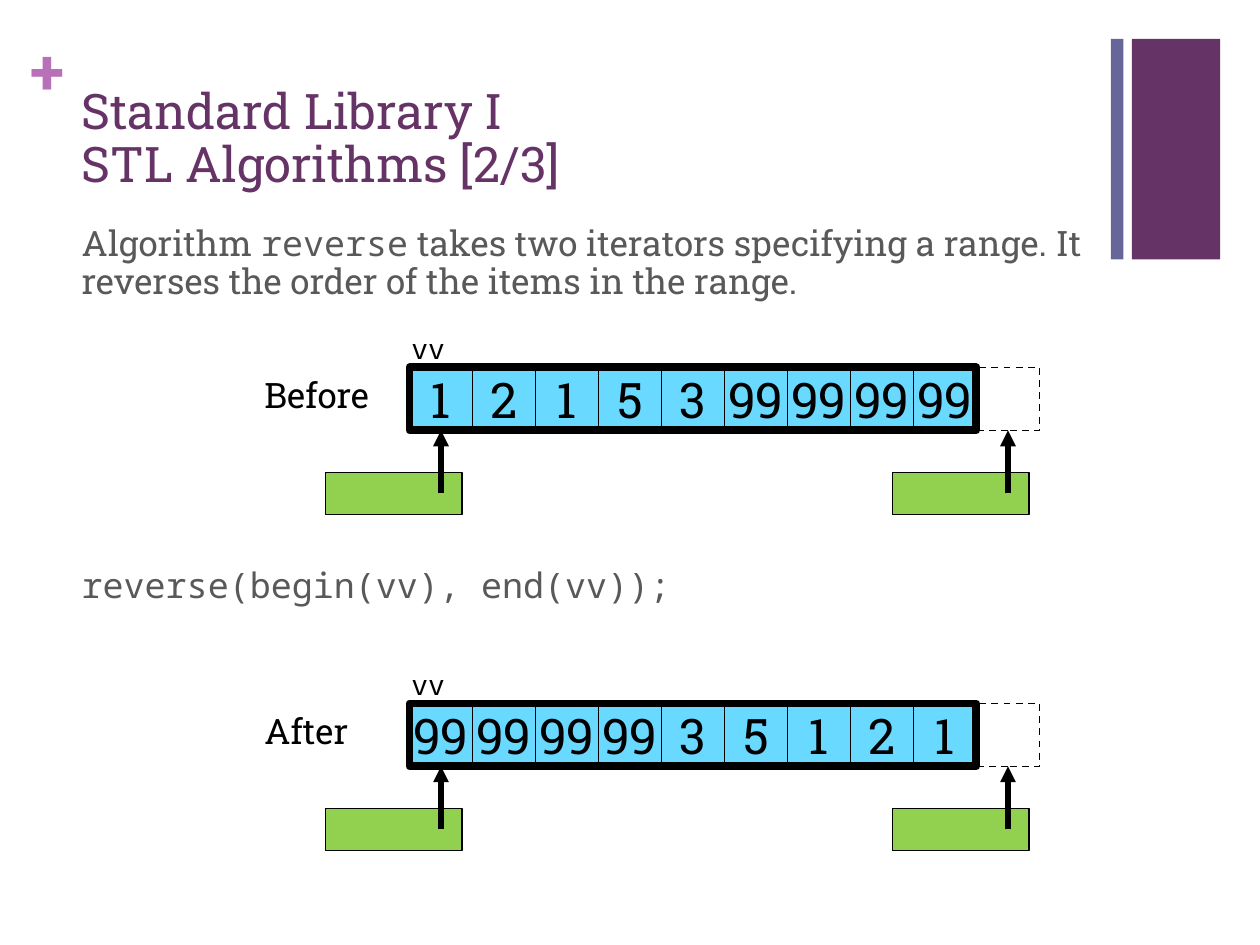
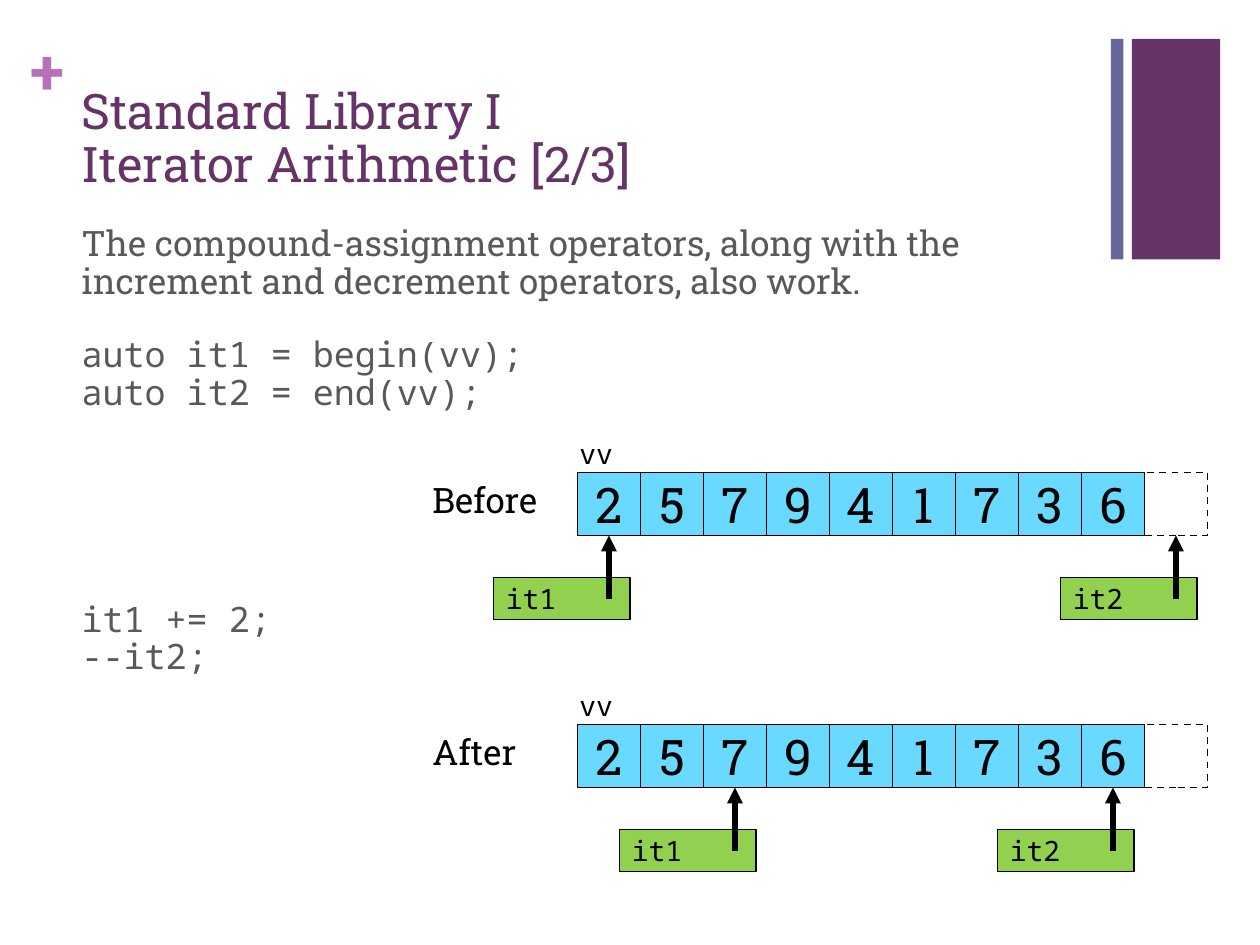
import dataclasses

import pptx
import pptx.dml.color
import pptx.enum.dml
import pptx.enum.shapes
import pptx.enum.text
import pptx.oxml
import pptx.oxml.ns
import pptx.util

ALIGN = pptx.enum.text.PP_ALIGN
ANCHOR = pptx.enum.text.MSO_ANCHOR
DASH = pptx.enum.dml.MSO_LINE.DASH


@dataclasses.dataclass(frozen=True)
class Theme:
    """Colours, fonts, type sizes and spacing of the deck."""

    plum: str = "663366"
    slate: str = "666699"
    orchid: str = "B870B8"
    body: str = "595959"
    ink: str = "000000"
    item: str = "6AD9FF"
    iterator: str = "92D050"
    serif: str = "Roboto Slab"
    mono: str = "Noto Sans Mono"
    plus_size: int = 36
    title_size: int = 28
    body_size: int = 20
    small_size: int = 16
    leading: float = 0.9
    paragraph_gap: int = 20
    skipped_line: int = 44
    hairline: float = 1
    arrow_line: float = 3
    frame_line: float = 4.5


def assign(target, values):
    """Set every attribute named in values on target."""
    for name, value in values.items():
        setattr(target, name, value)


def rgb(colour):
    """Turn a hex string into a colour."""
    return pptx.dml.color.RGBColor.from_string(colour)


class Deck:
    """Draws slide elements on a grid of 120 columns by 90 rows."""

    COLUMNS, ROWS = 120, 90
    CELL = 6

    def __init__(self, theme):
        """Start a presentation of 10 by 7.5 inches."""
        self.theme = theme
        self.presentation = pptx.Presentation()
        assign(self.presentation, {
            "slide_width": pptx.util.Inches(10),
            "slide_height": pptx.util.Inches(7.5),
        })
        self.slide = None

    def place(self, *grid):
        """Convert alternating columns and rows to slide lengths."""
        units = (self.presentation.slide_width / self.COLUMNS,
                 self.presentation.slide_height / self.ROWS)
        return [round(value * units[i % 2]) for i, value in enumerate(grid)]

    def add_words(self, paragraph, text, size, colour, font=None, bold=False):
        """Add text to a paragraph, breaking lines at newlines."""
        for number, line in enumerate(text.split("\n")):
            if number:
                paragraph.add_line_break()
            run = paragraph.add_run()
            run.text = line
            assign(run.font, {"name": font or self.theme.serif,
                              "size": pptx.util.Pt(size), "bold": bold})
            run.font.color.rgb = rgb(colour)

    def pad(self, frame, inset):
        """Give a text frame the same inset on all sides."""
        assign(frame, {f"margin_{side}": inset
                       for side in ("left", "right", "top", "bottom")})

    def box(self, grid, fill=None, outline=None, width=None, dash=None):
        """Draw a rectangle with optional fill and outline."""
        shape = self.slide.shapes.add_shape(
            pptx.enum.shapes.MSO_SHAPE.RECTANGLE, *self.place(*grid))
        shape.shadow.inherit = False
        if fill:
            shape.fill.solid()
            shape.fill.fore_color.rgb = rgb(fill)
        else:
            shape.fill.background()
        if outline:
            shape.line.color.rgb = rgb(outline)
            assign(shape.line, {
                "width": pptx.util.Pt(width or self.theme.hairline),
                "dash_style": dash})
        else:
            shape.line.fill.background()
        return shape

    def text(self, grid, **frame_format):
        """Add a wrapping text box and return its frame."""
        frame = self.slide.shapes.add_textbox(*self.place(*grid)).text_frame
        assign(frame, {"word_wrap": True, **frame_format})
        return frame

    def label(self, grid, words, size, font=None):
        """Add a one-line label."""
        self.add_words(self.text(grid).paragraphs[0], words, size,
                       self.theme.ink, font)

    def start(self, title):
        """Begin a slide with its bands, plus sign and title."""
        theme = self.theme
        self.slide = self.presentation.slides.add_slide(
            self.presentation.slide_layouts[6])
        self.box((107.8, 3.7, 8.4, 21), theme.plum)
        self.box((105.8, 3.7, 1.2, 21), theme.slate)
        plus = self.text((2.9, 3, 3.5, 7.3))
        self.pad(plus, 0)
        self.add_words(plus.paragraphs[0], "+", theme.plus_size, theme.orchid,
                       bold=True)
        heading = self.text((6.6, 6.4, 99.1, 12.6),
                            vertical_anchor=ANCHOR.BOTTOM).paragraphs[0]
        heading.line_spacing = theme.leading
        self.add_words(heading, title, theme.title_size, theme.plum)

    def body(self, *passages):
        """Add passages, each given as skipped lines and (text, font) parts."""
        theme = self.theme
        frame = self.text((6.6, 21, 99.1, 62))
        for number, (skipped, parts) in enumerate(passages):
            paragraph = frame.add_paragraph() if number else frame.paragraphs[0]
            paragraph.line_spacing = theme.leading
            if number:
                paragraph.space_before = pptx.util.Pt(
                    theme.paragraph_gap + skipped * theme.skipped_line)
            for words, font in parts:
                self.add_words(paragraph, words, theme.body_size, theme.body,
                               font)

    def cell(self, column, row, value):
        """Draw one item of the vector."""
        shape = self.box((column, row, self.CELL, self.CELL),
                         self.theme.item, self.theme.ink)
        frame = shape.text_frame
        self.pad(frame, 0)
        assign(frame, {"vertical_anchor": ANCHOR.MIDDLE, "word_wrap": True})
        frame.paragraphs[0].alignment = ALIGN.CENTER
        self.add_words(frame.paragraphs[0], str(value), self.theme.title_size,
                       self.theme.ink)

    def iterator(self, column, row, name):
        """Draw an iterator whose arrow points up at a column."""
        theme = self.theme
        holder = self.box((column - 11, row + 10, 13, 4), theme.iterator,
                          theme.ink)
        if name:
            frame = holder.text_frame
            frame.vertical_anchor = ANCHOR.MIDDLE
            frame.paragraphs[0].alignment = ALIGN.LEFT
            self.add_words(frame.paragraphs[0], name, theme.small_size,
                           theme.ink, theme.mono)
        arrow = self.slide.shapes.add_connector(
            pptx.enum.shapes.MSO_CONNECTOR.STRAIGHT,
            *self.place(column, row + 12, column, row + self.CELL))
        arrow.line.color.rgb = rgb(theme.ink)
        arrow.line.width = pptx.util.Pt(theme.arrow_line)
        space = pptx.oxml.ns.nsdecls("a")
        properties = arrow._element.spPr
        properties.find(pptx.oxml.ns.qn("a:ln")).append(pptx.oxml.parse_xml(
            f'<a:tailEnd {space} type="triangle"/>'))
        properties.append(pptx.oxml.parse_xml(f"<a:effectLst {space}/>"))

    def vector(self, column, row, stage, values, iterators, framed=False):
        """Draw a labelled vector, its end slot and its iterators."""
        theme, size = self.theme, self.CELL
        end = column + size * len(values)
        self.label((column - 15, row, 17, 5.3), stage, theme.body_size)
        self.label((column - 1, row - 4, 30, 4.4), "vv", theme.small_size,
                   theme.mono)
        self.box((end, row, size, size), outline=theme.ink, dash=DASH)
        for index, value in enumerate(values):
            self.cell(column + index * size, row, value)
        for index, name in iterators:
            self.iterator(column + (index + 0.5) * size, row, name)
        if framed:
            self.box((column, row, end - column, size), outline=theme.ink,
                     width=theme.frame_line)


def main():
    """Build both slides and save the deck."""
    theme = Theme()
    deck = Deck(theme)

    deck.start("Standard Library I\nSTL Algorithms [2/3]")
    deck.body(
        (0, [("Algorithm ", theme.serif), ("reverse", theme.mono),
             (" takes two iterators specifying a range. It reverses the "
              "order of the items in the range.", theme.serif)]),
        (3, [("reverse(begin(vv), end(vv));", theme.mono)]))
    initial = [1, 2, 1, 5, 3, 99, 99, 99, 99]
    whole_range = [(0, ""), (len(initial), "")]
    for row, stage, values in ((35, "Before", initial),
                               (67, "After", initial[::-1])):
        deck.vector(39, row, stage, values, whole_range, framed=True)

    deck.start("Standard Library I\nIterator Arithmetic [2/3]")
    deck.body(
        (0, [("The compound-assignment operators, along with the increment "
              "and decrement operators, also work.", theme.serif)]),
        (0, [("auto it1 = begin(vv);\nauto it2 = end(vv);", theme.mono)]),
        (2, [("it1 += 2;\n--it2;", theme.mono)]))
    digits = [2, 5, 7, 9, 4, 1, 7, 3, 6]
    for row, stage, first, last in ((45, "Before", 0, 9), (69, "After", 2, 8)):
        deck.vector(55, row, stage, digits, [(first, "it1"), (last, "it2")])

    deck.presentation.save("out.pptx")


if __name__ == "__main__":
    main()
